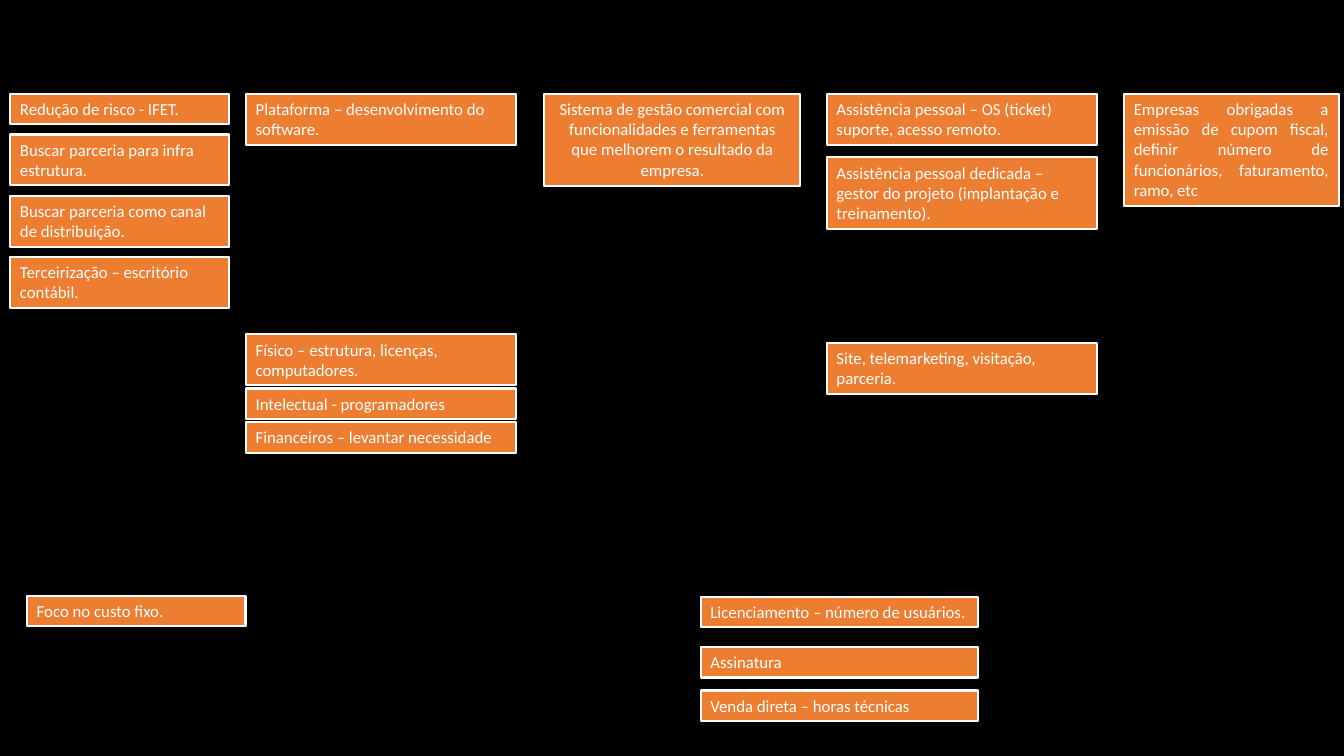
"""Build a business model canvas slide with stacks of orange notes."""
from pptx import Presentation
from pptx.dml.color import RGBColor
from pptx.enum.shapes import MSO_SHAPE
from pptx.enum.text import MSO_ANCHOR, MSO_AUTO_SIZE, PP_ALIGN
from pptx.util import Pt

COLORS = {"background": "000000", "note": "ED7D31", "white": "FFFFFF"}
LINE_HEIGHT = 14.6
PADDING = 7.2
TOP = 67

PARTNERS = [
    ("Redução de risco - IFET.", 1),
    ("Buscar parceria para infra estrutura.", 2),
    ("Buscar parceria como canal de distribuição.", 2),
    ("Terceirização – escritório contábil.", 2),
]
ACTIVITIES = [("Plataforma – desenvolvimento do software.", 2)]
RESOURCES = [
    ("Físico – estrutura, licenças, computadores.", 2),
    ("Intelectual - programadores", 1),
    ("Financeiros – levantar necessidade", 1),
]
VALUE = [("Sistema de gestão comercial com funcionalidades e ferramentas "
          "que melhorem o resultado da empresa.", 4)]
RELATIONSHIPS = [
    ("Assistência pessoal – OS (ticket) suporte, acesso remoto.", 2),
    ("Assistência pessoal dedicada – gestor do projeto "
     "(implantação e treinamento).", 3),
]
CHANNELS = [("Site, telemarketing, visitação, parceria.", 2)]
SEGMENTS = [("Empresas obrigadas a emissão de cupom fiscal, definir número de "
             "funcionários, faturamento, ramo, etc", 5)]
COSTS = [("Foco no custo fixo.", 1)]
LICENSING = [("Licenciamento – número de usuários.", 1)]
SALES = [("Assinatura", 1), ("Venda direta – horas técnicas", 1)]


def color(name):
    return RGBColor.from_string(COLORS[name])


def add_text(tf, text, size=12, font="Calibri", fill="white", align=PP_ALIGN.LEFT):
    p = tf.paragraphs[0]
    p.alignment = align
    r = p.add_run()
    r.text = text
    r.font.size = Pt(size)
    r.font.name = font
    r.font.color.rgb = color(fill)


def add_note(s, text, left, top, width, height, **text_format):
    sp = s.shapes.add_shape(MSO_SHAPE.RECTANGLE, Pt(left), Pt(top), Pt(width), Pt(height))
    sp.shadow.inherit = False
    sp.fill.solid()
    sp.fill.fore_color.rgb = color("note")
    sp.line.color.rgb = color("white")
    sp.line.width = Pt(1.5)
    tf = sp.text_frame
    tf.word_wrap = True
    tf.auto_size = MSO_AUTO_SIZE.SHAPE_TO_FIT_TEXT
    tf.vertical_anchor = MSO_ANCHOR.TOP
    add_text(tf, text, **text_format)


def add_stack(s, notes, left, top, width, gap=0, **text_format):
    for text, lines in notes:
        height = PADDING + lines * LINE_HEIGHT
        add_note(s, text, left, top, width, height, **text_format)
        top += height + gap


def main():
    prs = Presentation()
    prs.slide_width, prs.slide_height = Pt(960), Pt(540)
    s = prs.slides.add_slide(prs.slide_layouts[6])
    s.background.fill.solid()
    s.background.fill.fore_color.rgb = color("background")

    add_stack(s, PARTNERS, 7.2, TOP, 156.2, gap=7.3)
    add_stack(s, ACTIVITIES, 175.5, TOP, 193)
    add_stack(s, RESOURCES, 175.5, 238.8, 193, gap=2.3)
    add_stack(s, VALUE, 388.8, TOP, 183, align=PP_ALIGN.CENTER)
    add_stack(s, RELATIONSHIPS, 590.4, TOP, 193, gap=9)
    add_stack(s, CHANNELS, 590.4, 244.8, 193)
    add_stack(s, SEGMENTS, 802.8, TOP, 153.4, align=PP_ALIGN.JUSTIFY)
    add_stack(s, COSTS, 19.2, 425.5, 156.2)
    add_stack(s, LICENSING, 500.4, 426.2, 198)
    add_stack(s, SALES, 500.4, 462.2, 198, gap=9.2)
    prs.save("out.pptx")


if __name__ == "__main__":
    main()
